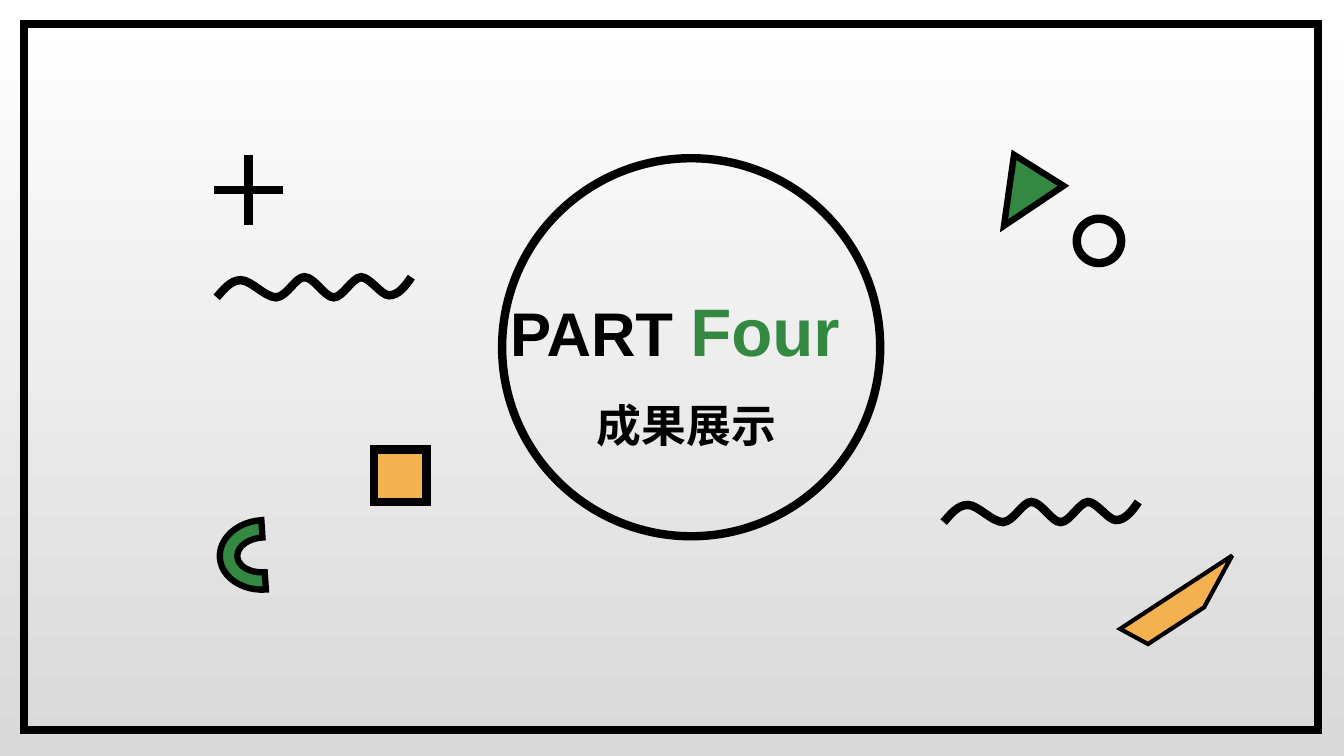
import pptx
import pptx.util
import pptx.dml.color
import pptx.enum.shapes
import pptx.enum.text
import pptx.oxml
import pptx.oxml.ns

Inches = pptx.util.Inches
SHAPE = pptx.enum.shapes.MSO_SHAPE
qn = pptx.oxml.ns.qn
BLACK, GREEN, ORANGE, BLUE = "000000", "338942", "F3B150", "6096E6"

# Wave, relative to its left top corner: start, then (control, control, end)
WAVE_START = (0, 0.2)
WAVE_CURVES = [
    ((0.07, 0.12), (0.14, 0.03), (0.24, 0.03)),
    ((0.34, 0.03), (0.48, 0.2), (0.59, 0.2)),
    ((0.7, 0.19), (0.78, 0), (0.87, 0)),
    ((0.97, 0), (1.07, 0.2), (1.16, 0.2)),
    ((1.25, 0.2), (1.34, 0.01), (1.43, 0)),
    ((1.52, 0), (1.63, 0.18), (1.71, 0.18)),
    ((1.8, 0.18), (1.87, 0.09), (1.93, 0)),
]


def color(value):
    return pptx.dml.color.RGBColor.from_string(value)


def make_element(tag, **attributes):
    element = pptx.oxml.parse_xml("<a:%s %s/>" % (tag, pptx.oxml.ns.nsdecls("a")))
    for name, value in attributes.items():
        element.set(name, str(value))
    return element


def style(shape, fill, weight):
    shape.shadow.inherit = False
    if fill:
        shape.fill.solid()
        shape.fill.fore_color.rgb = color(fill)
    else:
        shape.fill.background()
    shape.line.color.rgb = color(BLACK)
    shape.line.width = pptx.util.Pt(weight)
    # Sharp corners
    outline = shape._element.spPr.find(qn("a:ln"))
    outline.append(make_element("miter", lim=800000))


def add_figure(page, kind, box, fill=None, weight=6, rotation=0):
    shape = page.shapes.add_shape(kind, *map(Inches, box))
    shape.rotation = rotation
    style(shape, fill, weight)
    return shape


def add_wave(page, left, top):
    def place(point):
        return Inches(left + point[0]), Inches(top + point[1])

    builder = page.shapes.build_freeform(*place(WAVE_START))
    builder.add_line_segments([place(curve[-1]) for curve in WAVE_CURVES], close=False)
    wave = builder.convert_to_shape()
    # Bend each straight segment into its curve
    segments = list(wave._element.iter(qn("a:lnTo")))
    for segment, curve in zip(segments, WAVE_CURVES):
        bend = make_element("cubicBezTo")
        for x, y in curve:
            bend.append(make_element("pt", x=Inches(x), y=Inches(y)))
        segment.getparent().replace(segment, bend)
    style(wave, None, 6)


def add_label(page, box, spans):
    frame = page.shapes.add_textbox(*map(Inches, box)).text_frame
    frame.word_wrap = True
    frame.auto_size = pptx.enum.text.MSO_AUTO_SIZE.SHAPE_TO_FIT_TEXT
    para = frame.paragraphs[0]
    for text, font, size, hue in spans:
        span = para.add_run()
        span.text = text
        span.font.color.rgb = color(hue)
        formats = {"name": font, "size": pptx.util.Pt(size), "bold": True}
        for name, value in formats.items():
            setattr(span.font, name, value)
        # East Asian text takes the same font
        latin = span.font._element.find(qn("a:latin"))
        latin.addnext(make_element("ea", typeface=font))


def draw_backdrop(page, box):
    fill = page.background.fill
    fill.gradient()
    fill.gradient_angle = 270
    for stop, position, hue in zip(fill.gradient_stops, (0, 1), ("FFFFFF", "D9D9D9")):
        stop.position = position
        stop.color.rgb = color(hue)
    add_figure(page, SHAPE.RECTANGLE, box)


def draw_title(page, box):
    left, top, width, height = box
    add_figure(page, SHAPE.OVAL, box)
    add_label(page, (left - 0.02, top + 1.25, 4.22, 0.91),
              [("PART ", "Arial", 44, BLACK), ("Four", "Arial", 48, GREEN)])
    add_label(page, (left + 0.84, top + 2.33, 2.5, 0.64),
              [("成果展示", "Noto Sans CJK SC", 32, BLACK)])


def draw_left_ornaments(page, left, top):
    plus = add_figure(page, SHAPE.CROSS, (left, top, 0.63, 0.63), BLUE, 4.5)
    plus.adjustments[0] = 0.481
    add_wave(page, left, top + 1.18)
    add_figure(page, SHAPE.RECTANGLE, (left + 1.56, top + 2.89, 0.52, 0.52), ORANGE)
    add_figure(page, SHAPE.BLOCK_ARC, (left + 0.12, top + 3.5, 0.69, 0.87),
               GREEN, 4.5, 266.3)


def draw_right_ornaments(page, left, top):
    triangle = add_figure(page, SHAPE.ISOSCELES_TRIANGLE,
                          (left + 0.48, top + 0.07, 0.58, 0.65), GREEN, 4.5, 32.1)
    triangle._element.spPr.xfrm.set("flipV", "1")
    add_figure(page, SHAPE.OVAL, (left + 1.32, top + 0.6, 0.44, 0.44))
    add_wave(page, left, top + 3.41)
    add_figure(page, SHAPE.DIAGONAL_STRIPE, (left + 1.99, top + 3.72, 0.63, 1.17),
               ORANGE, 3, 208.5)


def main():
    deck = pptx.Presentation()
    deck.slide_width, deck.slide_height = Inches(13.33), Inches(7.5)
    page = deck.slides.add_slide(deck.slide_layouts[6])
    draw_backdrop(page, (0.24, 0.24, 12.83, 7))
    draw_left_ornaments(page, 2.15, 1.57)
    draw_right_ornaments(page, 9.36, 1.57)
    draw_title(page, (4.98, 1.57, 3.75, 3.75))
    deck.save("out.pptx")


if __name__ == "__main__":
    main()
